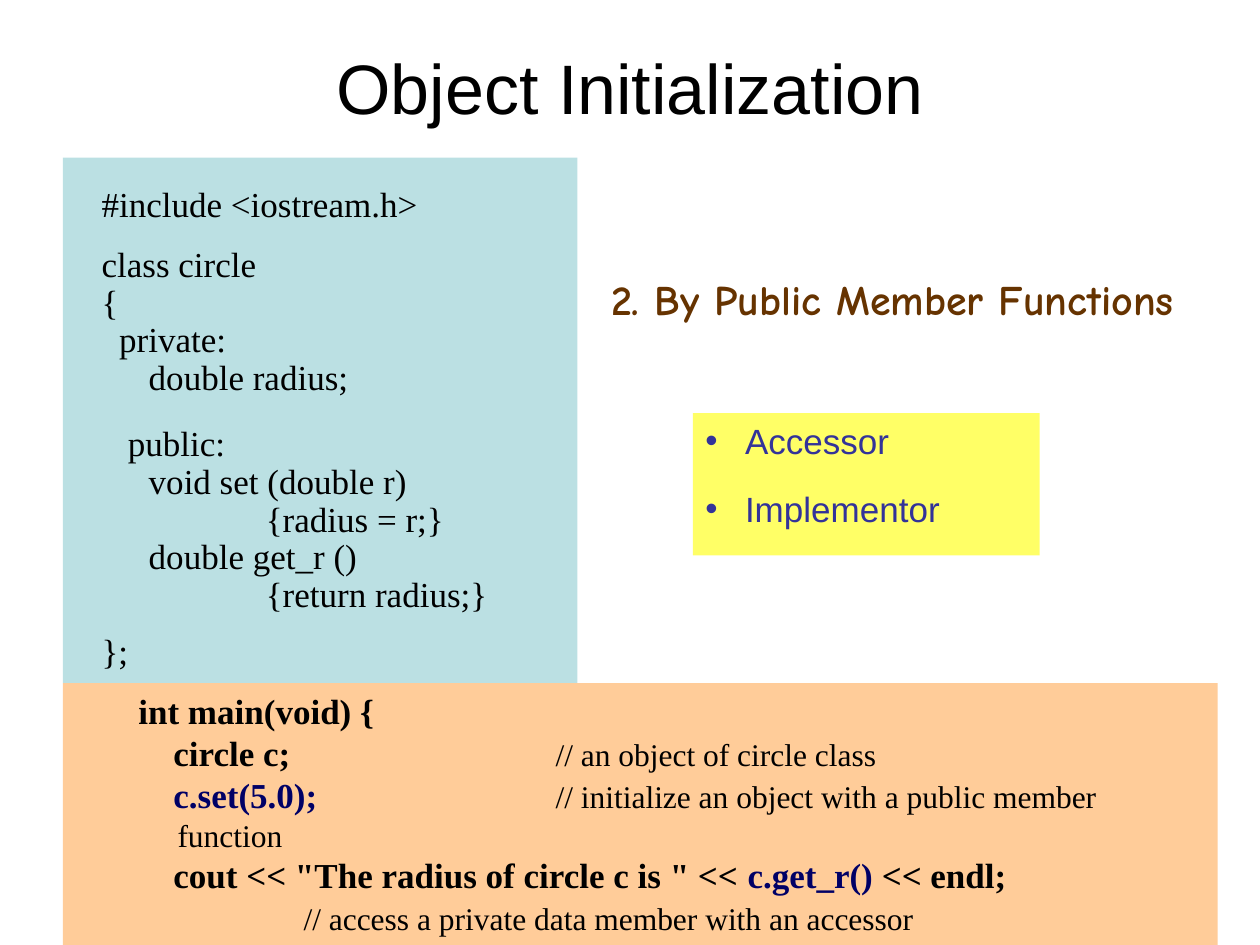
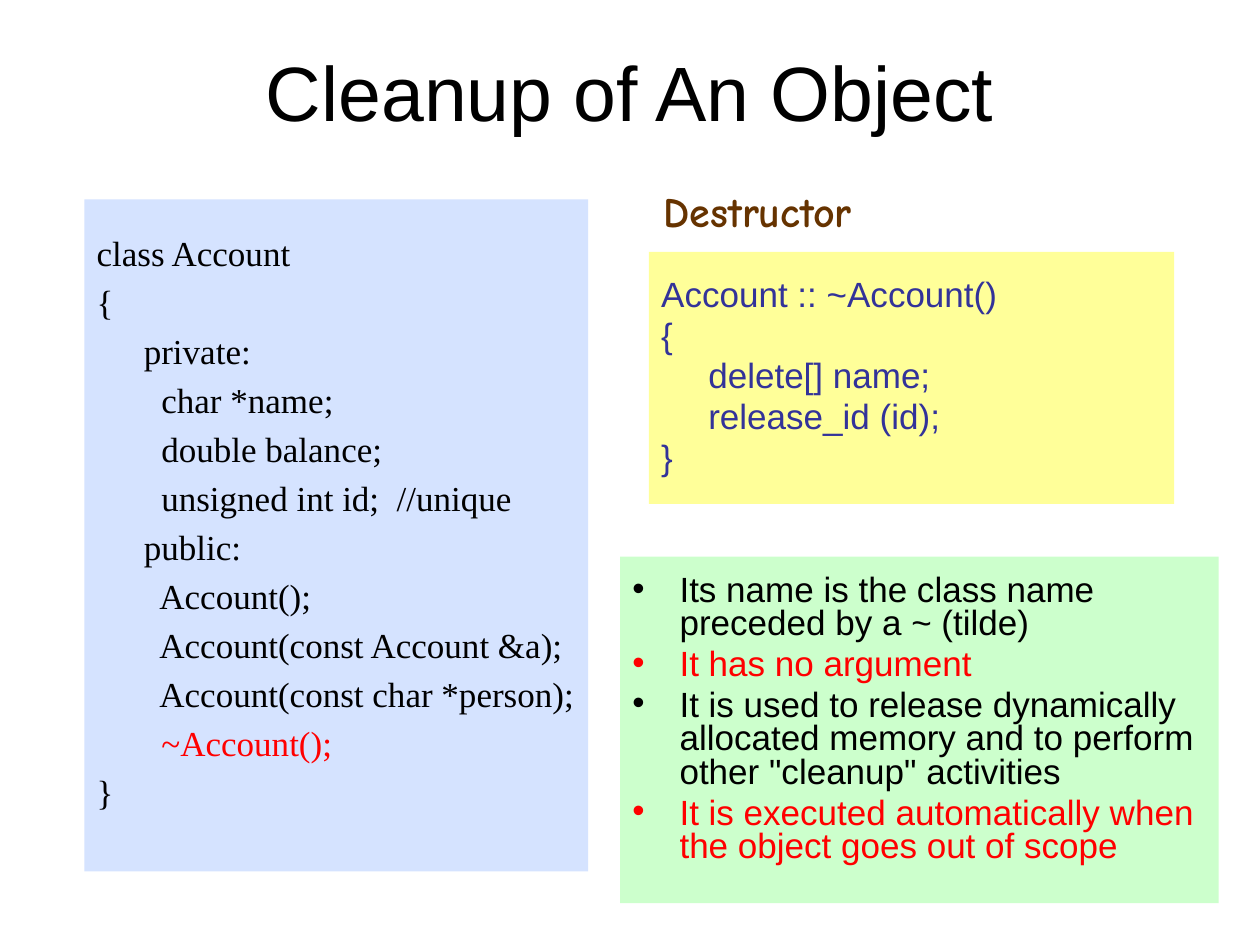
from pptx import Presentation
from pptx.dml.color import RGBColor
from pptx.enum.shapes import MSO_SHAPE
from pptx.enum.text import MSO_ANCHOR, PP_ALIGN
from pptx.util import Cm, Pt
from lxml.etree import SubElement
from pptx.oxml.ns import qn

BLACK = RGBColor(0x00, 0x00, 0x00)
NAVY = RGBColor(0x00, 0x00, 0x66)
INDIGO = RGBColor(0x33, 0x33, 0x99)
BROWN = RGBColor(0x66, 0x33, 0x00)
RED = RGBColor(0xFF, 0x00, 0x00)
TEAL = RGBColor(0xBB, 0xE0, 0xE3)
PEACH = RGBColor(0xFF, 0xCC, 0x99)
LEMON = RGBColor(0xFF, 0xFF, 0x66)
CREAM = RGBColor(0xFF, 0xFF, 0x99)
SKY = RGBColor(0xD5, 0xE3, 0xFF)
MINT = RGBColor(0xCC, 0xFF, 0xCC)

TITLE = {"name": "Arial", "size": Pt(40), "color": BLACK}
HEAD = {"name": "Comic Neue", "size": Pt(24), "bold": True, "color": BROWN}
CODE = {"name": "Times New Roman", "size": Pt(20), "color": BLACK}
SANS = {"name": "Arial", "size": Pt(20), "color": INDIGO}
NOTE = {"size": Pt(18), "bold": False}
CALL = {"color": NAVY}
WARN = {"color": RED}
HANG = 0.95


def style(item, values):
    """Set each format value on the item."""
    for key, value in values.items():
        if key == "color":
            item.color.rgb = value
        else:
            setattr(item, key, value)


def indent(para, left, hang, dot):
    """Give a paragraph its hanging indent, tab size and bullet."""
    props = para._p.get_or_add_pPr()
    values = {"marL": Cm(left), "indent": -Cm(hang), "defTabSz": Cm(2.54)}
    for key, value in values.items():
        props.set(key, str(int(value)))
    if dot:
        SubElement(props, qn("a:buFont"), typeface="Arial")
        SubElement(props, qn("a:buChar"), char="•")


def write(frame, rows, font, lead=1.0, gap=0, gaps=None, left=0, hang=0,
          dot=False, align=PP_ALIGN.LEFT):
    """Write rows of text, each a string or a list of (text, changes) runs."""
    for n, row in enumerate(rows):
        para = frame.paragraphs[0] if n == 0 else frame.add_paragraph()
        indent(para, left, hang, dot)
        before = (gaps or {}).get(n, gap) if n else 0
        style(para, {"alignment": align, "line_spacing": lead,
                     "space_before": Pt(before)})
        for text, change in [(row, {})] if isinstance(row, str) else row:
            run = para.add_run()
            run.text = text
            style(run.font, {**font, **change})


def panel(slide, box, fill, rows, font, top=0.13, **layout):
    """Draw a filled box with its text set from the top."""
    shape = slide.shapes.add_shape(MSO_SHAPE.RECTANGLE, *map(Cm, box))
    shape.shadow.inherit = False
    shape.fill.solid()
    shape.fill.fore_color.rgb = fill
    shape.line.fill.background()
    style(shape.text_frame, {"word_wrap": True, "margin_top": Cm(top),
                             "vertical_anchor": MSO_ANCHOR.TOP})
    write(shape.text_frame, rows, font, **layout)


def label(slide, box, text, font, wrap=False, **layout):
    """Place one line of text without a fill."""
    frame = slide.shapes.add_textbox(*map(Cm, box)).text_frame
    style(frame, {"word_wrap": wrap, "vertical_anchor": MSO_ANCHOR.MIDDLE})
    write(frame, [text], font, **layout)


def title(slide, text, top, size):
    """Place the centred slide title."""
    label(slide, (1.27, top, 22.86, 1.98), text, {**TITLE, "size": Pt(size)},
          wrap=True, align=PP_ALIGN.CENTER)


def setup(slide):
    """Build the slide on setting up an object."""
    panel(slide, (1.27, 3.18, 10.37, 10.59), TEAL, [
        "   #include <iostream.h>",
        "   class circle",
        "   {",
        "     private:",
        "  \t   double radius;",
        "      public:",
        "\t   void set (double r)",
        "\t\t  {radius = r;}",
        "\t   double get_r ()",
        "\t\t  {return radius;}",
        "   };",
    ], CODE, top=0.6, lead=0.9, gaps={1: 12.5, 5: 16, 10: 11},
        left=HANG, hang=HANG)
    panel(slide, (1.27, 13.77, 23.28, 5.28), PEACH, [
        "int main(void) {",
        [("    circle c;\t\t\t", {}), ("// an object of circle class", NOTE)],
        [("    ", {}), ("c.set(5.0);\t\t", CALL),
         ("// initialize an object with a public member function", NOTE)],
        [('    cout << "The radius of circle c is " << ', {}),
         ("c.get_r()", CALL), (" << endl;", {})],
        [("\t\t", {}),
         ("// access a private data member with an accessor", NOTE)],
    ], {**CODE, "bold": True}, left=2.06, hang=0.79)
    title(slide, "Object Initialization", 0.76, 40)
    label(slide, (12.07, 5.38, 13.18, 1.27),
          "2. By Public Member Functions", HEAD)
    panel(slide, (13.97, 8.33, 6.99, 2.87), LEMON,
          ["Accessor", "Implementor"], SANS, gap=14.5,
          left=0.8, hang=0.8, dot=True)


def cleanup(slide):
    """Build the slide on cleaning up an object."""
    title(slide, "Cleanup of An Object", 0.84, 44)
    panel(slide, (1.7, 4.02, 10.16, 13.55), SKY, [
        "class Account",
        "{",
        "\tprivate:",
        "\t  char *name;",
        "\t  double balance;",
        "\t  unsigned int id;  //unique",
        "\tpublic:",
        "\t  Account();",
        "\t  Account(const Account &a);",
        "\t  Account(const char *person);",
        [("\t  ", {}), ("~Account();", WARN)],
        "}",
    ], CODE, top=0.64, gap=4, left=HANG, hang=HANG)
    label(slide, (13.13, 3.61, 4.93, 1.27), "Destructor", HEAD)
    panel(slide, (13.08, 5.08, 10.59, 5.08), CREAM, [
        "Account :: ~Account()",
        "{",
        "\tdelete[] name;",
        "\trelease_id (id);",
        "}",
    ], SANS, top=0.58, lead=0.8, gap=4, left=HANG, hang=HANG)
    panel(slide, (12.5, 11.22, 12.07, 6.99), MINT, [
        "Its name is the class name preceded by a ~ (tilde)",
        [("It has no argument", WARN)],
        "It is used to release dynamically allocated memory and to perform "
        'other "cleanup" activities',
        [("It is executed automatically when the object goes out of scope",
          WARN)],
    ], {**SANS, "color": BLACK}, top=0.38, lead=0.8, gap=4,
        left=HANG + 0.25 - 0.25, hang=HANG, dot=True)


def main():
    """Build and save the deck."""
    deck = Presentation()
    style(deck, {"slide_width": Cm(25.4), "slide_height": Cm(19.05)})
    for build in (setup, cleanup):
        build(deck.slides.add_slide(deck.slide_layouts[6]))
    deck.save("out.pptx")


if __name__ == "__main__":
    main()
